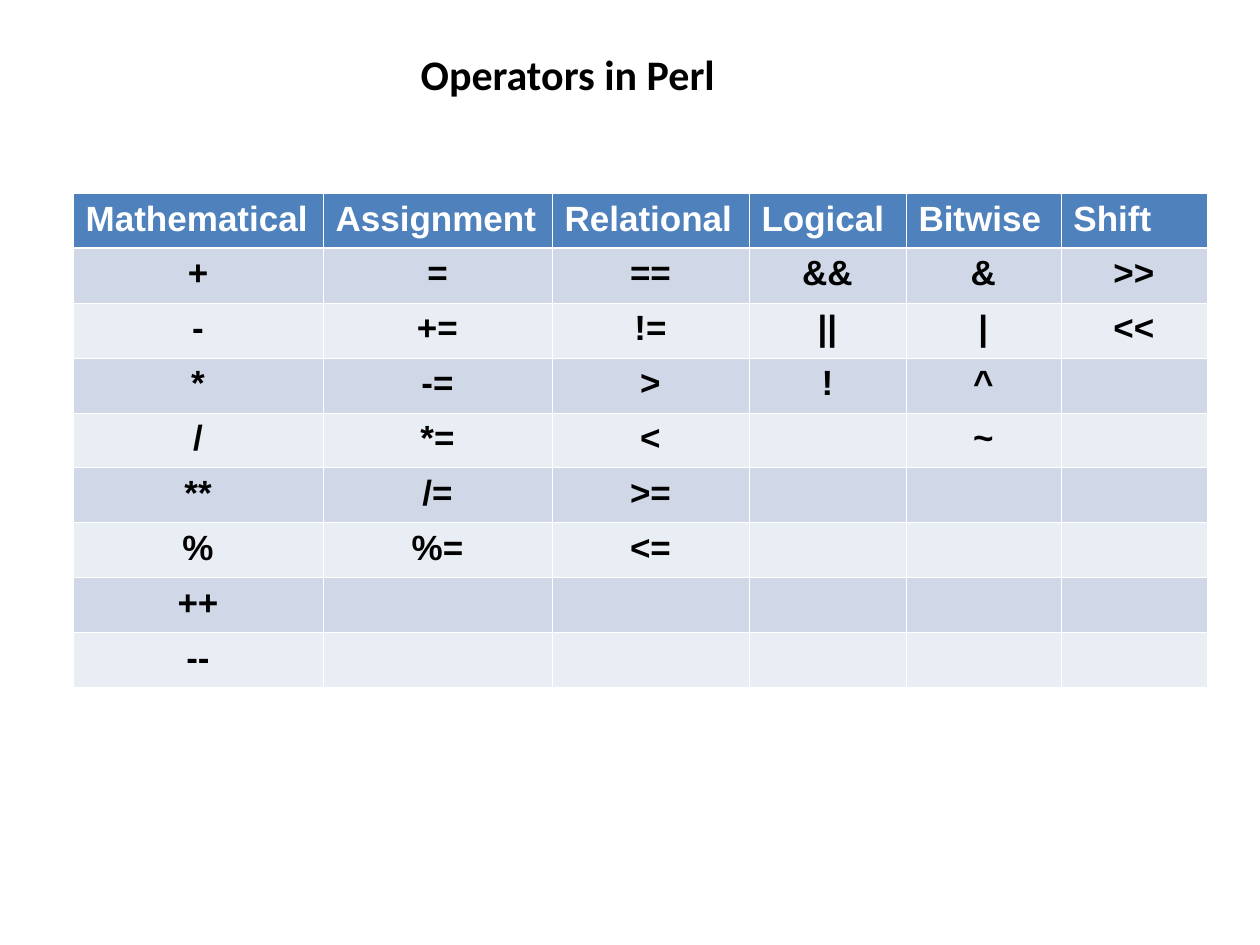
from itertools import zip_longest

from lxml import etree
from pptx import Presentation
from pptx import util as u
from pptx.dml.color import RGBColor
from pptx.enum import text
from pptx.oxml import ns

PX = u.Inches(1) // 126
COLORS = {
    "text": "000000",
    "header": "4F81BD",
    "odd": "D0D8E8",
    "even": "E9EDF4",
    "white": "FFFFFF",
}
OPERATORS = {
    "Mathematical": ["+", "-", "*", "/", "**", "%", "++", "--"],
    "Assignment": ["=", "+=", "-=", "*=", "/=", "%="],
    "Relational": ["==", "!=", ">", "<", ">=", "<="],
    "Logical": ["&&", "||", "!"],
    "Bitwise": ["&", "|", "^", "~"],
    "Shift": [">>", "<<"],
}
COLUMN_WIDTHS = [250, 229, 197, 157, 155, 146]
ROW_HEIGHT = 55
THIN, THICK = 0.45, 1.47


def color(name):
    return RGBColor.from_string(COLORS[name])


def write(frame, words, font, size, ink, align):
    para = frame.paragraphs[0]
    para.text = words
    para.alignment = align
    for span in para.runs:
        span.font.name = font
        span.font.size = u.Pt(size)
        span.font.bold = True
        span.font.color.rgb = color(ink)


def add_title(page, words, left, top, width, height):
    box = page.shapes.add_textbox(left * PX, top * PX, width * PX, height * PX)
    box.text_frame.word_wrap = True
    write(box.text_frame, words, "Calibri", 24, "text", text.PP_ALIGN.CENTER)


def add_borders(cell, top, bottom):
    properties = cell._tc.get_or_add_tcPr()
    for side, points in (("L", THIN), ("R", THIN), ("T", top), ("B", bottom)):
        line = etree.SubElement(properties, ns.qn(f"a:ln{side}"), w=str(u.Pt(points)))
        fill = etree.SubElement(line, ns.qn("a:solidFill"))
        etree.SubElement(fill, ns.qn("a:srgbClr"), val=COLORS["white"])


def style_cell(cell, row, words):
    add_borders(cell, THICK if row == 1 else THIN, THICK if row == 0 else THIN)
    cell.fill.solid()
    if row == 0:
        shade, ink, align = "header", "white", text.PP_ALIGN.LEFT
    else:
        shade = "odd" if row % 2 else "even"
        ink, align = "text", text.PP_ALIGN.CENTER
    cell.fill.fore_color.rgb = color(shade)
    if words:
        write(cell.text_frame, words, "Arial", 20, ink, align)


def add_operator_table(page, left, top):
    rows = [list(OPERATORS), *zip_longest(*OPERATORS.values(), fillvalue="")]
    table = page.shapes.add_table(
        len(rows), len(COLUMN_WIDTHS), left * PX, top * PX,
        sum(COLUMN_WIDTHS) * PX, len(rows) * ROW_HEIGHT * PX,
    ).table
    for column, width in zip(table.columns, COLUMN_WIDTHS):
        column.width = width * PX
    for row, entries in enumerate(rows):
        table.rows[row].height = ROW_HEIGHT * PX
        for column, words in enumerate(entries):
            style_cell(table.cell(row, column), row, words)


def main():
    deck = Presentation()
    deck.slide_width, deck.slide_height = u.Inches(10), u.Inches(7.5)
    page = deck.slides.add_slide(deck.slide_layouts[6])
    add_title(page, "Operators in Perl ", 42, 42, 1061, 63)
    add_operator_table(page, 73, 193)
    deck.save("out.pptx")


if __name__ == "__main__":
    main()
